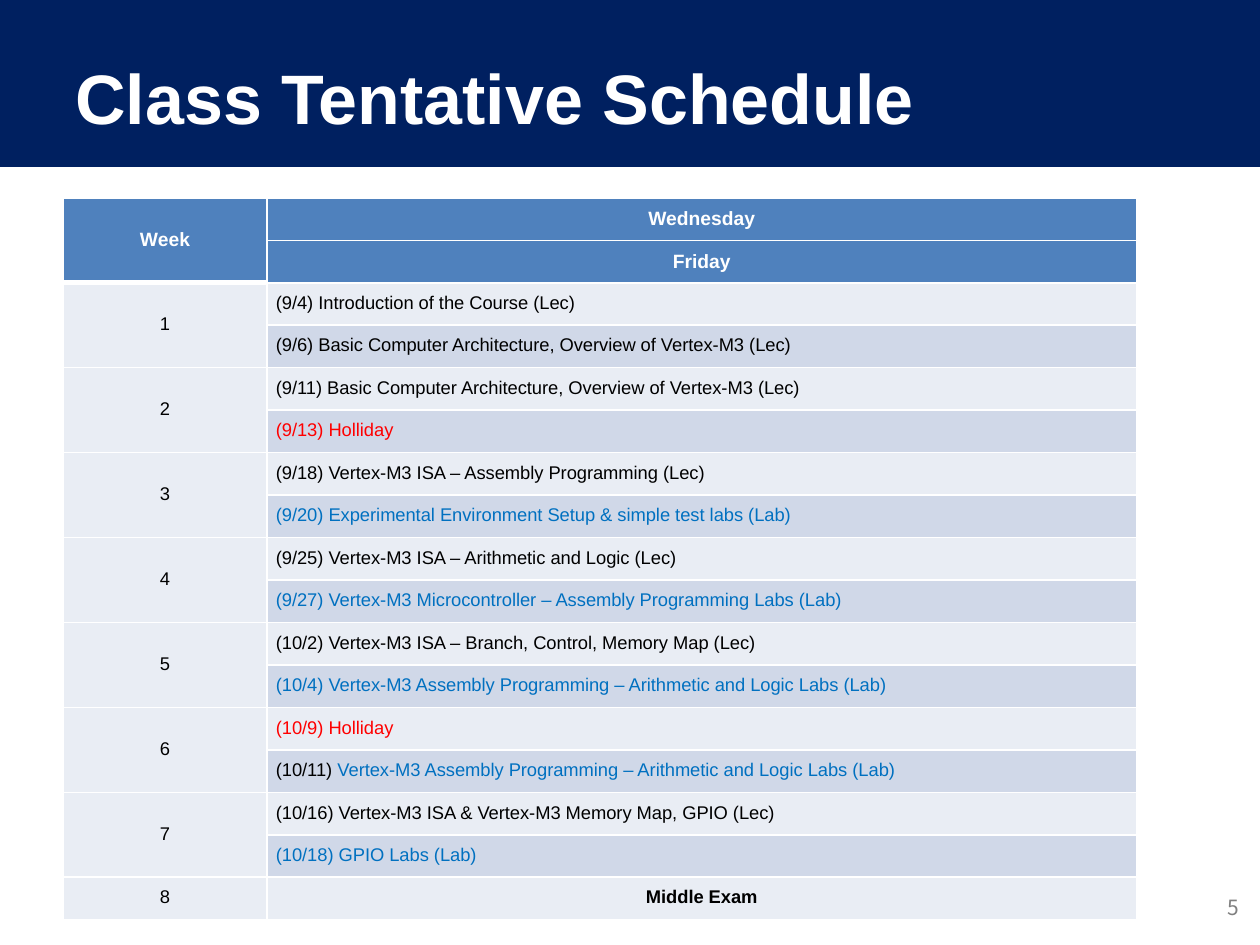
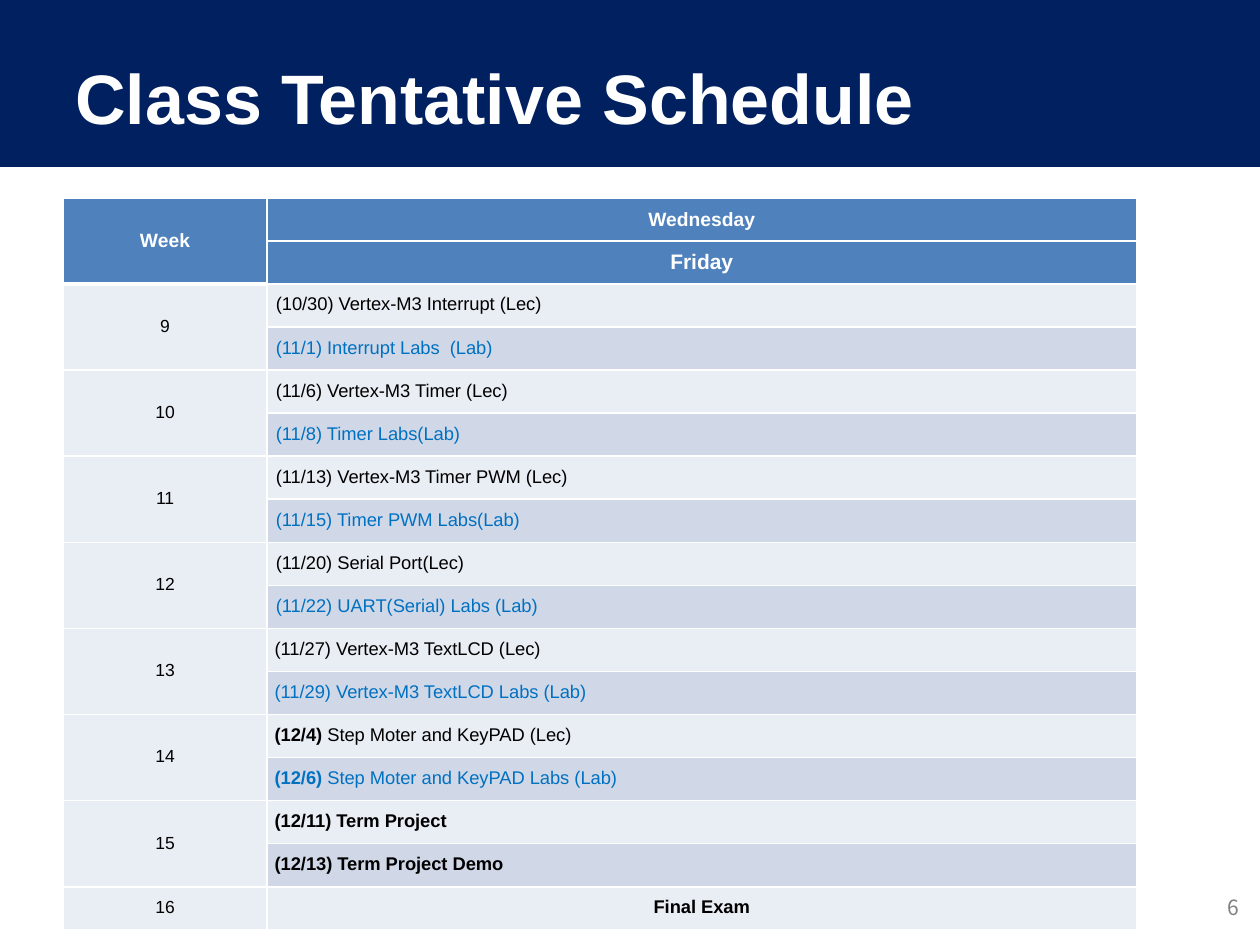
from lxml import etree
from pptx import Presentation
from pptx import util as u
from pptx.dml.color import RGBColor
from pptx.enum import shapes, text
from pptx.oxml.ns import qn

NAVY = RGBColor(0x00, 0x20, 0x60)
WHITE = RGBColor(0xFF, 0xFF, 0xFF)
BLACK = RGBColor(0x00, 0x00, 0x00)
GRAY = RGBColor(0x80, 0x80, 0x80)
RED = RGBColor(0xFF, 0x00, 0x00)
BLUE = RGBColor(0x00, 0x70, 0xC0)
HEADER = RGBColor(0x4F, 0x81, 0xBD)
LIGHT = RGBColor(0xE9, 0xED, 0xF4)
DARK = RGBColor(0xD0, 0xD8, 0xE8)
BODY_FONT = "Arial"
NUMBER_FONT = "Noto Sans CJK KR"
CENTER = text.PP_ALIGN.CENTER


def run(words, color=BLACK, bold=False):
    return words, color, bold


def lec(words):
    return [run(words)]


def lab(words):
    return [run(words, BLUE)]


def holiday(words):
    return [run(words, RED)]


def bold(words):
    return [run(words, bold=True)]


TITLE = "Class Tentative Schedule"

FIRST_HALF = [
    (lec("(9/4) Introduction of the Course (Lec)"),
     lec("(9/6) Basic Computer Architecture, Overview of Vertex-M3 (Lec)")),
    (lec("(9/11) Basic Computer Architecture, Overview of Vertex-M3 (Lec)"),
     holiday("(9/13) Holliday")),
    (lec("(9/18) Vertex-M3 ISA – Assembly Programming (Lec)"),
     lab("(9/20) Experimental Environment Setup & simple test labs (Lab)")),
    (lec("(9/25) Vertex-M3 ISA – Arithmetic and Logic (Lec)"),
     lab("(9/27) Vertex-M3 Microcontroller – Assembly Programming Labs (Lab)")),
    (lec("(10/2) Vertex-M3 ISA – Branch, Control, Memory Map (Lec)"),
     lab("(10/4) Vertex-M3 Assembly Programming – Arithmetic and Logic Labs (Lab)")),
    (holiday("(10/9) Holliday"),
     [run("(10/11) "),
      run("Vertex-M3 Assembly Programming – Arithmetic and Logic Labs (Lab)", BLUE)]),
    (lec("(10/16) Vertex-M3 ISA & Vertex-M3 Memory Map, GPIO (Lec)"),
     lab("(10/18) GPIO Labs (Lab)")),
]

SECOND_HALF = [
    (lec("(10/30) Vertex-M3 Interrupt (Lec)"), lab("(11/1) Interrupt Labs  (Lab)")),
    (lec("(11/6) Vertex-M3 Timer (Lec)"), lab("(11/8) Timer Labs(Lab)")),
    (lec("(11/13) Vertex-M3 Timer PWM (Lec)"), lab("(11/15) Timer PWM Labs(Lab)")),
    (lec("(11/20) Serial Port(Lec)"), lab("(11/22) UART(Serial) Labs (Lab)")),
    (lec("(11/27) Vertex-M3 TextLCD (Lec)"), lab("(11/29) Vertex-M3 TextLCD Labs (Lab)")),
    ([run("(12/4) ", bold=True), run("Step Moter and KeyPAD (Lec)")],
     [run("(12/6) ", BLUE, True), run("Step Moter and KeyPAD Labs (Lab)", BLUE)]),
    (bold("(12/11) Term Project"), bold("(12/13) Term Project Demo")),
]

SLIDES = [
    dict(page=5, first_week=1, weeks=FIRST_HALF, exam="Middle Exam",
         height=5.73, week_size=10.5, friday_size=11, narrow_from=99),
    dict(page=6, first_week=9, weeks=SECOND_HALF, exam="Final Exam",
         height=5.81, week_size=10, friday_size=12, narrow_from=13),
]


def style_run(r, size, color, is_bold=False, font=BODY_FONT):
    r.font.name = font
    r.font.size = u.Pt(size)
    r.font.color.rgb = color
    r.font.bold = is_bold


def add_text(s, box, words, size, color, font=BODY_FONT, is_bold=False,
             align=text.PP_ALIGN.LEFT, anchor=text.MSO_ANCHOR.TOP):
    tf = s.shapes.add_textbox(*map(u.Inches, box)).text_frame
    tf.word_wrap = True
    tf.vertical_anchor = anchor
    p = tf.paragraphs[0]
    p.text = words
    p.alignment = align
    style_run(p.runs[0], size, color, is_bold, font)


def set_borders(cell, bottom):
    tc_pr = cell._tc.get_or_add_tcPr()
    for side, width in (("L", 1), ("R", 1), ("T", 1), ("B", bottom)):
        ln = etree.SubElement(tc_pr, qn("a:ln" + side), w=str(u.Pt(width)))
        fill = etree.SubElement(ln, qn("a:solidFill"))
        etree.SubElement(fill, qn("a:srgbClr"), val=str(WHITE))


def fill_cell(cell, runs, size, fill, align=None, indent=0, spacing=0.9, bottom=1):
    set_borders(cell, bottom)
    cell.fill.solid()
    cell.fill.fore_color.rgb = fill
    cell.vertical_anchor = text.MSO_ANCHOR.MIDDLE
    cell.margin_left = cell.margin_right = u.Inches(0.02)
    cell.margin_top = cell.margin_bottom = u.Inches(0.02)
    p = cell.text_frame.paragraphs[0]
    p.alignment = align
    p.line_spacing = spacing
    if indent:
        p._p.get_or_add_pPr().set("marL", str(u.Inches(indent)))
    for words, color, is_bold in runs:
        r = p.add_run()
        r.text = words
        style_run(r, size, color, is_bold)


def fill_label(table, row, runs, size, fill, spacing=0.9, bottom=1):
    top, low = table.cell(row, 0), table.cell(row + 1, 0)
    fill_cell(top, runs, size, fill, CENTER, spacing=spacing, bottom=bottom)
    fill_cell(low, [], size, fill, bottom=bottom)
    top.merge(low)


def add_schedule(s, page, first_week, weeks, exam, height, week_size,
                 friday_size, narrow_from):
    count = 2 * len(weeks) + 3
    table = s.shapes.add_table(count, 2, u.Inches(0.5), u.Inches(1.57),
                               u.Inches(8.52), u.Inches(height)).table
    table.columns[0].width = u.Inches(1.62)
    table.columns[1].width = u.Inches(6.9)
    for row in table.rows:
        row.height = u.Inches(height / count)

    fill_label(table, 0, [run("Week", WHITE, True)], 11, HEADER, 1.0, 3)
    for i, (day, size) in enumerate((("Wednesday", 11), ("Friday", friday_size))):
        fill_cell(table.cell(i, 1), [run(day, WHITE, True)], size, HEADER, CENTER, spacing=1.0)

    for i, days in enumerate(weeks):
        week = first_week + i
        row = 2 + 2 * i
        fill_label(table, row, [run(str(week))], week_size, LIGHT)
        indent = 0.04 if week >= narrow_from else 0.05
        for j, (runs, fill) in enumerate(zip(days, (LIGHT, DARK))):
            fill_cell(table.cell(row + j, 1), runs, 10.5, fill, indent=indent)

    last = count - 1
    exam_week = str(first_week + len(weeks))
    fill_cell(table.cell(last, 0), [run(exam_week)], week_size, LIGHT, CENTER)
    fill_cell(table.cell(last, 1), bold(exam), 10.5, LIGHT, CENTER)


def add_frame(s, page):
    band = s.shapes.add_shape(shapes.MSO_SHAPE.RECTANGLE, 0, 0, u.Inches(10), u.Inches(1.31))
    band.shadow.inherit = False
    band.fill.solid()
    band.fill.fore_color.rgb = NAVY
    band.line.color.rgb = NAVY
    band.line.width = u.Pt(2)
    add_text(s, (0.5, 0.3, 9, 0.93), TITLE, 40, WHITE, is_bold=True,
             anchor=text.MSO_ANCHOR.MIDDLE)
    add_text(s, (7.6, 7.05, 2.33, 0.4), str(page), 12, GRAY, NUMBER_FONT,
             align=text.PP_ALIGN.RIGHT)


def main():
    prs = Presentation()
    prs.slide_width, prs.slide_height = u.Inches(10), u.Inches(7.5)
    for schedule in SLIDES:
        s = prs.slides.add_slide(prs.slide_layouts[6])
        add_frame(s, schedule["page"])
        add_schedule(s, **schedule)
    prs.save("out.pptx")


if __name__ == "__main__":
    main()
